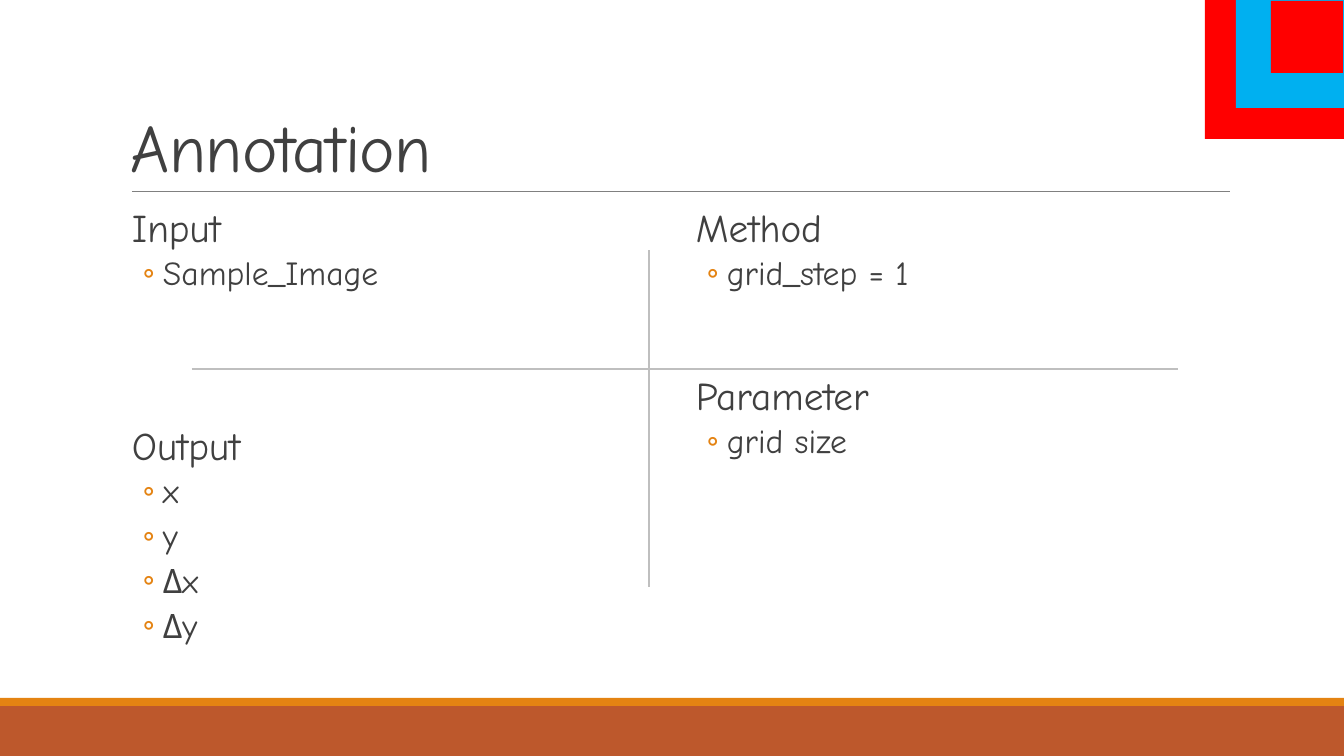
"""Build the Annotation slide: input, method, output and parameter quadrants."""
from lxml.etree import SubElement
from pptx import Presentation
from pptx.dml.color import RGBColor
from pptx.enum.shapes import MSO_CONNECTOR, MSO_SHAPE
from pptx.enum.text import MSO_ANCHOR
from pptx.oxml.ns import qn
from pptx.util import Pt

PX = 914400 / 100.8
FONT = "Comic Neue"
COLORS = {"text": "404040", "orange": "E48312", "rust": "BD582C", "rule": "808080",
          "divider": "BFBFBF", "red": "FF0000", "blue": "00B0F0"}


def px(*lengths):
    return [round(length * PX) for length in lengths]


def style(paragraph, size, line_spacing, before=0, after=0):
    paragraph.line_spacing = line_spacing
    paragraph.space_before, paragraph.space_after = Pt(before), Pt(after)
    for run in paragraph.runs:
        run.font.name, run.font.size = FONT, Pt(size)
        run.font.color.rgb = RGBColor.from_string(COLORS["text"])


deck = Presentation()
deck.slide_width, deck.slide_height = px(1344, 756)
slide = deck.slides.add_slide(deck.slide_layouts[6])
shapes = slide.shapes

blocks = [
    (0, 706, 1344, 50, "rust"),
    (0, 698, 1344, 8, "orange"),
    (1205, 0, 139, 139, "red"),
    (1236, 0, 108, 108, "blue"),
    (1271, 1, 72, 72, "red"),
]
for *box, color in blocks:
    block = shapes.add_shape(MSO_SHAPE.RECTANGLE, *px(*box))
    block.shadow.inherit = False
    block.fill.solid()
    block.fill.fore_color.rgb = RGBColor.from_string(COLORS[color])
    block.line.fill.background()

title = shapes.add_textbox(*px(121, 31, 1109, 160)).text_frame
title.word_wrap = True
title.vertical_anchor = MSO_ANCHOR.BOTTOM
title.text = "Annotation"
style(title.paragraphs[0], 48, 0.85)
title.paragraphs[0].runs[0].font._element.set("spc", "-50")

quadrants = [
    (121, 204, 160, "Input", ["Sample_Image"]),
    (121, 422, 260, "Output", ["x", "y", "Δx", "Δy"]),
    (685, 204, 160, "Method", ["grid_step = 1"]),
    (685, 372, 160, "Parameter", ["grid size"]),
]
for left, top, height, heading, items in quadrants:
    quadrant = shapes.add_textbox(*px(left, top, 544, height)).text_frame
    quadrant.word_wrap = True
    quadrant.margin_left = quadrant.margin_right = 0
    quadrant.text = "\n".join([heading, *items])
    head, *bullets = quadrant.paragraphs
    style(head, 28, 0.9, 12, 2)
    head._p.get_or_add_pPr().set("marL", str(px(11)[0]))
    for bullet in bullets:
        style(bullet, 24, 0.9, 2, 4)
        properties = bullet._p.get_or_add_pPr()
        properties.set("marL", str(px(42)[0]))
        properties.set("indent", str(px(-20)[0]))
        bullet_color = SubElement(properties, qn("a:buClr"))
        SubElement(bullet_color, qn("a:srgbClr")).set("val", COLORS["orange"])
        SubElement(properties, qn("a:buFont")).set("typeface", "Calibri")
        SubElement(properties, qn("a:buChar")).set("char", "◦")

rules = [
    (132, 191, 1230, 191, "rule", 0.5),
    (649, 587, 649, 250, "divider", 1),
    (192, 369, 1178, 369, "divider", 1),
]
for *ends, color, width in rules:
    rule = shapes.add_connector(MSO_CONNECTOR.STRAIGHT, *px(*ends))
    rule.line.color.rgb = RGBColor.from_string(COLORS[color])
    rule.line.width = Pt(width)
    SubElement(rule._element.spPr, qn("a:effectLst"))

deck.save("out.pptx")
